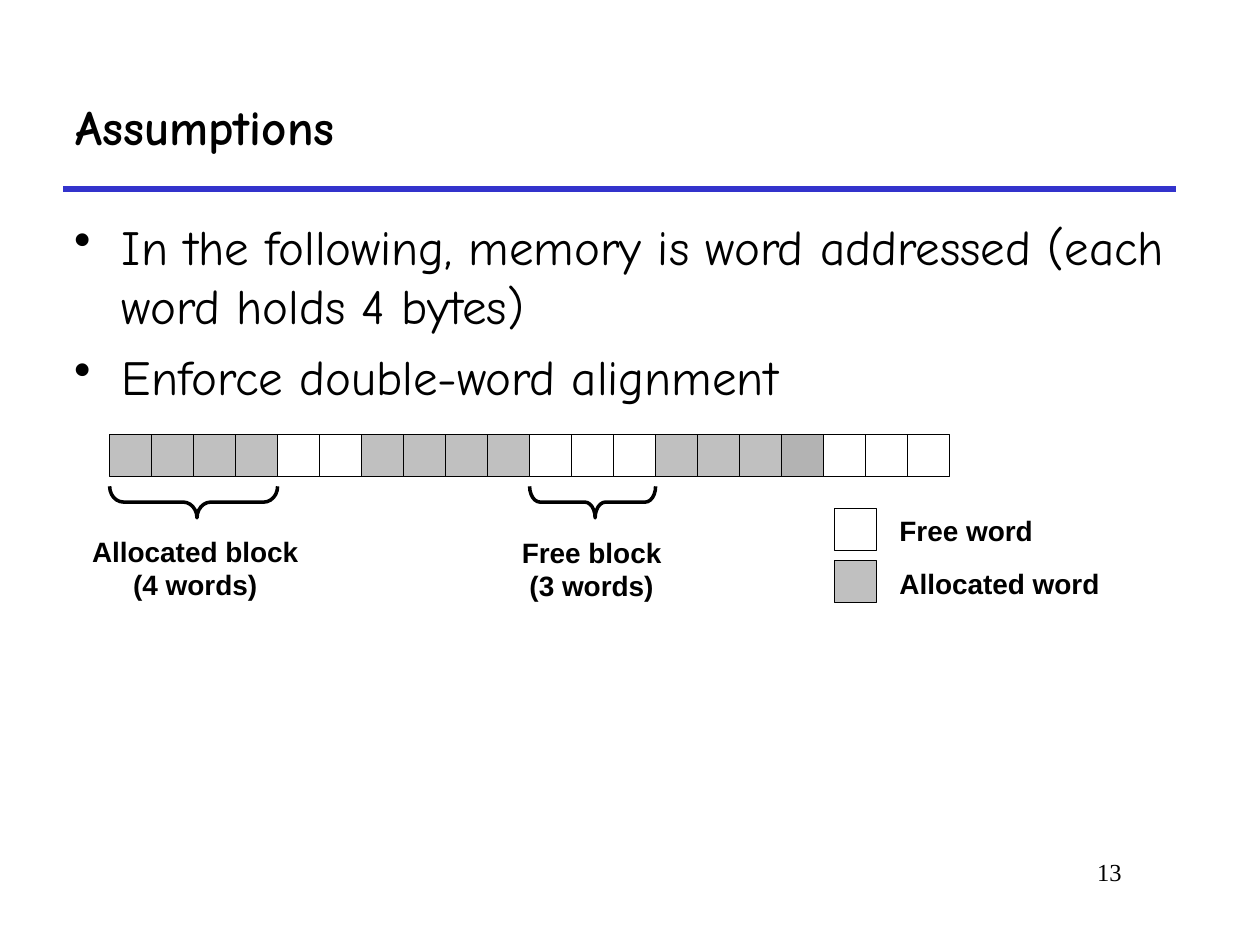
from dataclasses import dataclass

from lxml.etree import SubElement
from pptx import Presentation
from pptx.dml.color import RGBColor
from pptx.enum.shapes import MSO_CONNECTOR as Connector, MSO_SHAPE as Shape
from pptx.enum.text import MSO_ANCHOR as Anchor, MSO_AUTO_SIZE as AutoSize, PP_ALIGN as Align
from pptx.oxml.ns import qn
from pptx.util import Inches, Pt


@dataclass(frozen=True)
class Theme:
    ink: str = "000000"
    rule: str = "3333CC"
    free: str = "FFFFFF"
    allocated: str = "C0C0C0"
    padding: str = "B3B3B3"
    heading_font: str = "Comic Neue"
    label_font: str = "Arial"
    number_font: str = "Times New Roman"
    heading_size: int = 28
    label_size: int = 16
    number_size: int = 14


class SlideBuilder:
    def __init__(self, slide, theme):
        self.slide = slide
        self.theme = theme

    def add_run(self, paragraph, words, font, size, bold=False):
        run = paragraph.add_run()
        run.text = words
        run.font.name = font
        run.font.size = Pt(size)
        run.font.bold = bold
        run.font.color.rgb = RGBColor.from_string(self.theme.ink)

    def title(self, words, left, top, width, height):
        heading = self.slide.shapes.title
        heading.left, heading.top = Inches(left), Inches(top)
        heading.width, heading.height = Inches(width), Inches(height)
        frame = heading.text_frame
        frame.auto_size = AutoSize.NONE
        frame.vertical_anchor = Anchor.MIDDLE
        paragraph = frame.paragraphs[0]
        paragraph.alignment = Align.LEFT
        self.add_run(paragraph, words, self.theme.heading_font, self.theme.heading_size, True)

    def text(self, lines, left, top, width, height, font, size,
             bold=False, align=Align.LEFT, wrap=False, bulleted=False):
        box = self.slide.shapes.add_textbox(Inches(left), Inches(top), Inches(width), Inches(height))
        frame = box.text_frame
        frame.word_wrap = wrap
        for index, words in enumerate(lines):
            paragraph = frame.add_paragraph() if index else frame.paragraphs[0]
            paragraph.alignment = align
            if bulleted:
                self.bullet(paragraph)
                paragraph.space_before = Pt(7 if index else 0)
            self.add_run(paragraph, words, font, size, bold)

    def bullet(self, paragraph):
        properties = paragraph._p.get_or_add_pPr()
        properties.set("marL", str(Inches(0.38)))
        properties.set("indent", str(-Inches(0.38)))
        SubElement(properties, qn("a:buChar"), char="•")

    def label(self, lines, left, top, width, height, align=Align.LEFT):
        self.text(lines, left, top, width, height, self.theme.label_font,
                  self.theme.label_size, bold=True, align=align)

    def rule(self, left, right, y):
        line = self.slide.shapes.add_connector(
            Connector.STRAIGHT, Inches(left), Inches(y), Inches(right), Inches(y))
        line.line.color.rgb = RGBColor.from_string(self.theme.rule)
        line.line.width = Pt(3)
        SubElement(line._element.spPr, qn("a:effectLst"))

    def word(self, left, top, size, color):
        cell = self.slide.shapes.add_shape(
            Shape.RECTANGLE, Inches(left), Inches(top), Inches(size), Inches(size))
        cell.shadow.inherit = False
        cell.fill.solid()
        cell.fill.fore_color.rgb = RGBColor.from_string(color)
        cell.line.color.rgb = RGBColor.from_string(self.theme.ink)
        cell.line.width = Pt(0.25)

    def brace(self, left, top, span, depth, curve):
        brace = self.slide.shapes.add_shape(
            Shape.RIGHT_BRACE, Inches(left + (span - depth) / 2),
            Inches(top - (span - depth) / 2), Inches(depth), Inches(span))
        brace.rotation = 90
        brace.adjustments[0] = curve
        brace.adjustments[1] = 0.48
        brace.shadow.inherit = False
        brace.fill.background()
        brace.line.color.rgb = RGBColor.from_string(self.theme.ink)
        brace.line.width = Pt(2)


def main():
    deck = Presentation()
    deck.slide_width, deck.slide_height = Inches(10), Inches(7.5)
    theme = Theme()
    page = SlideBuilder(deck.slides.add_slide(deck.slide_layouts[5]), theme)

    page.title("Assumptions", 0.5, 0.5, 8.83, 1)
    page.rule(0.5, 9.33, 1.5)
    page.text(["In the following, memory is word addressed (each word holds 4 bytes)",
               "Enforce double-word alignment"],
              0.49, 1.67, 9.03, 5.33, theme.heading_font, theme.heading_size,
              wrap=True, bulleted=True)

    word_size = 1 / 3
    memory_left, memory_top = 0.87, 3.45
    memory = ([theme.allocated] * 4 + [theme.free] * 2 + [theme.allocated] * 4
              + [theme.free] * 3 + [theme.allocated] * 3 + [theme.padding]
              + [theme.free] * 3)
    for index, color in enumerate(memory):
        page.word(memory_left + index * word_size, memory_top, word_size, color)

    blocks = [
        (0, 4, 0.44, ["Allocated block", "(4 words)"], 0.63, 4.19, 1.84),
        (10, 3, 0.33, ["Free block", "(3 words)"], 4.04, 4.2, 1.31),
    ]
    for first, count, curve, caption, left, top, width in blocks:
        page.brace(memory_left + first * word_size, 3.86, count * word_size, 0.25, curve)
        page.label(caption, left, top, width, 0.64, Align.CENTER)

    legend = [("Free word", theme.free, 1.26), ("Allocated word", theme.allocated, 1.79)]
    for index, (meaning, color, width) in enumerate(legend):
        top = 4.03 + index * 0.42
        page.word(6.62, top, word_size, color)
        page.label([meaning], 7.04, top, width, 0.37)

    page.text(["13"], 7.58, 6.75, 1.42, 0.5, theme.number_font, theme.number_size,
              align=Align.RIGHT, wrap=True)

    deck.save("out.pptx")


if __name__ == "__main__":
    main()
